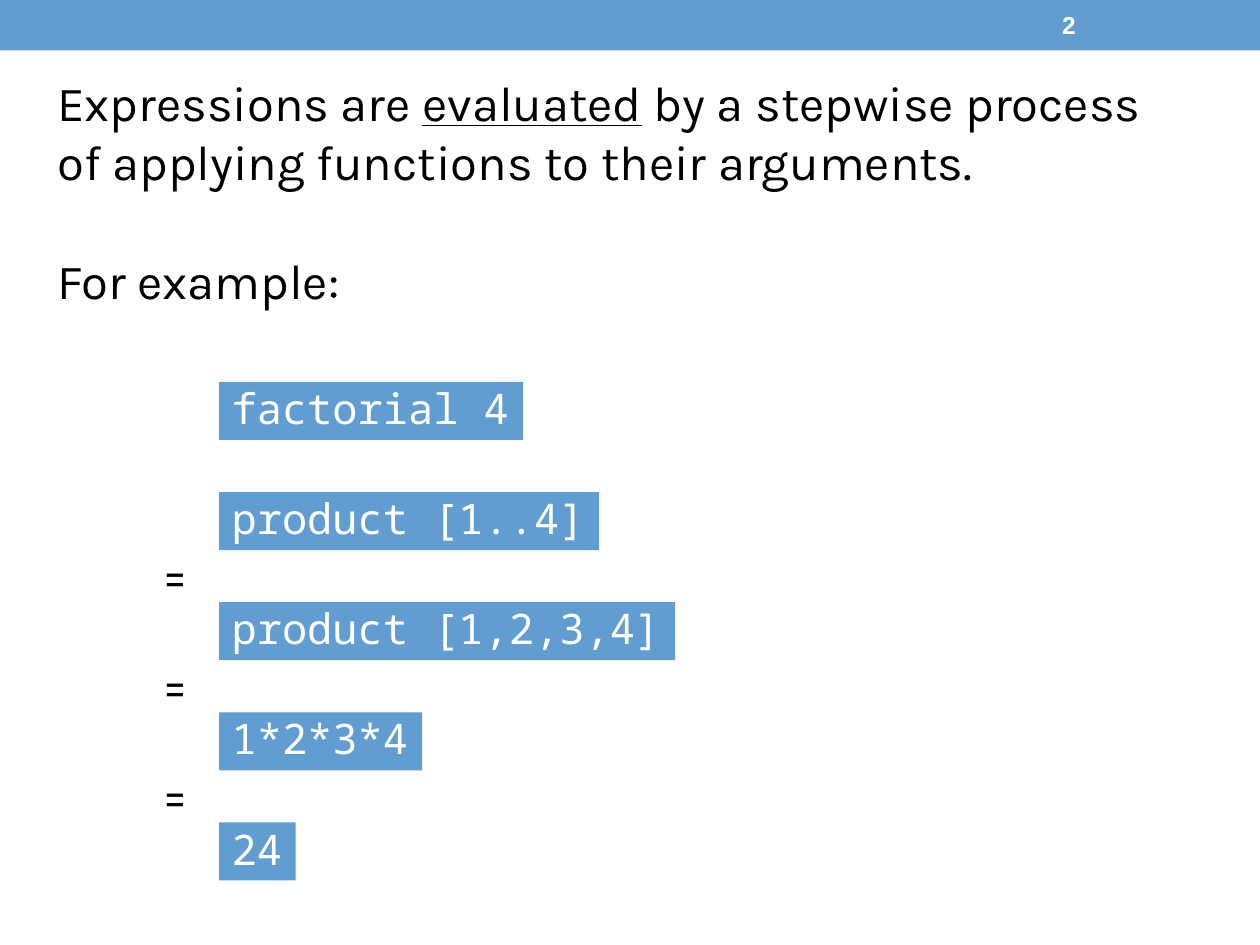
from pptx import Presentation
from pptx.dml.color import RGBColor
from pptx.enum.shapes import MSO_SHAPE as Shape
from pptx.enum.text import MSO_ANCHOR as Anchor, PP_ALIGN as Align
from pptx.util import Cm, Pt

# Content
PAGE_NUMBER = "2"
INTRO = [("Expressions are ", False),
         ("evaluated", True),
         (" by a stepwise process of applying functions to their arguments.", False)]
EXAMPLE = "For example:"
STEPS = ["factorial 4", "product [1..4]", "product [1,2,3,4]", "1*2*3*4", "24"]
FIRST_EQUALS = 2  # the equals signs start above this step

# Style
BLUE = RGBColor(0x62, 0x9D, 0xD1)
WHITE = RGBColor(0xFF, 0xFF, 0xFF)
BLACK = RGBColor(0, 0, 0)
BODY_FONT, CODE_FONT, NUMBER_FONT = "Karla", "Noto Sans Mono", "Arial"

# Layout in centimetres
STEP_LEFT, STEP_TOP, STEP_HEIGHT, STEP_PITCH = 4.42, 7.7, 1.17, 2.22
CHARACTER_WIDTH, STEP_PADDING = 0.51, 0.52
EQUALS_LEFT, EQUALS_RISE, EQUALS_WIDTH, EQUALS_HEIGHT = 2.92, 1.32, 1.22, 1.45


def add_run(paragraph, text, size, font_name, color, bold=False, underline=False):
    run = paragraph.add_run()
    run.text = text
    font = run.font
    font.size, font.name, font.bold, font.underline = Pt(size), font_name, bold, underline
    font.color.rgb = color


def add_bar(slide, left, top, width, height):
    bar = slide.shapes.add_shape(Shape.RECTANGLE, Cm(left), Cm(top), Cm(width), Cm(height))
    bar.shadow.inherit = False
    bar.fill.solid()
    bar.fill.fore_color.rgb = BLUE
    bar.line.fill.background()
    return bar


def add_text_box(slide, left, top, width, height):
    return slide.shapes.add_textbox(Cm(left), Cm(top), Cm(width), Cm(height))


def prepare_text(shape, wrap=True, align=Align.LEFT):
    frame = shape.text_frame
    frame.word_wrap = wrap
    frame.vertical_anchor = Anchor.MIDDLE
    paragraph = frame.paragraphs[0]
    paragraph.alignment = align
    return paragraph


def main():
    presentation = Presentation()
    presentation.slide_width, presentation.slide_height = Cm(25.4), Cm(19.05)
    slide = presentation.slides.add_slide(presentation.slide_layouts[6])

    # Header with page number
    add_bar(slide, 0, 0, 25.4, 1.02)
    paragraph = prepare_text(add_text_box(slide, 21.16, 0.05, 2.97, 0.91))
    add_run(paragraph, PAGE_NUMBER, 14, NUMBER_FONT, WHITE, bold=True)

    # Introduction
    intro_box = add_text_box(slide, 0.91, 1.35, 23.32, 5)
    paragraph = prepare_text(intro_box)
    for text, underline in INTRO:
        add_run(paragraph, text, 28, BODY_FONT, BLACK, underline=underline)
    paragraph = intro_box.text_frame.add_paragraph()
    paragraph.space_before = Pt(34)
    add_run(paragraph, EXAMPLE, 28, BODY_FONT, BLACK)

    # Evaluation steps, each as wide as its code
    for index, code in enumerate(STEPS):
        top = STEP_TOP + index * STEP_PITCH
        width = STEP_PADDING + CHARACTER_WIDTH * len(code)
        step = add_bar(slide, STEP_LEFT, top, width, STEP_HEIGHT)
        paragraph = prepare_text(step, wrap=False)
        paragraph.line_spacing = 0.9
        add_run(paragraph, code, 24, CODE_FONT, WHITE)
        if index >= FIRST_EQUALS:
            equals = add_text_box(slide, EQUALS_LEFT, top - EQUALS_RISE,
                                  EQUALS_WIDTH, EQUALS_HEIGHT)
            paragraph = prepare_text(equals, wrap=False, align=Align.CENTER)
            add_run(paragraph, "=", 28, BODY_FONT, BLACK)

    presentation.save("out.pptx")


if __name__ == "__main__":
    main()
